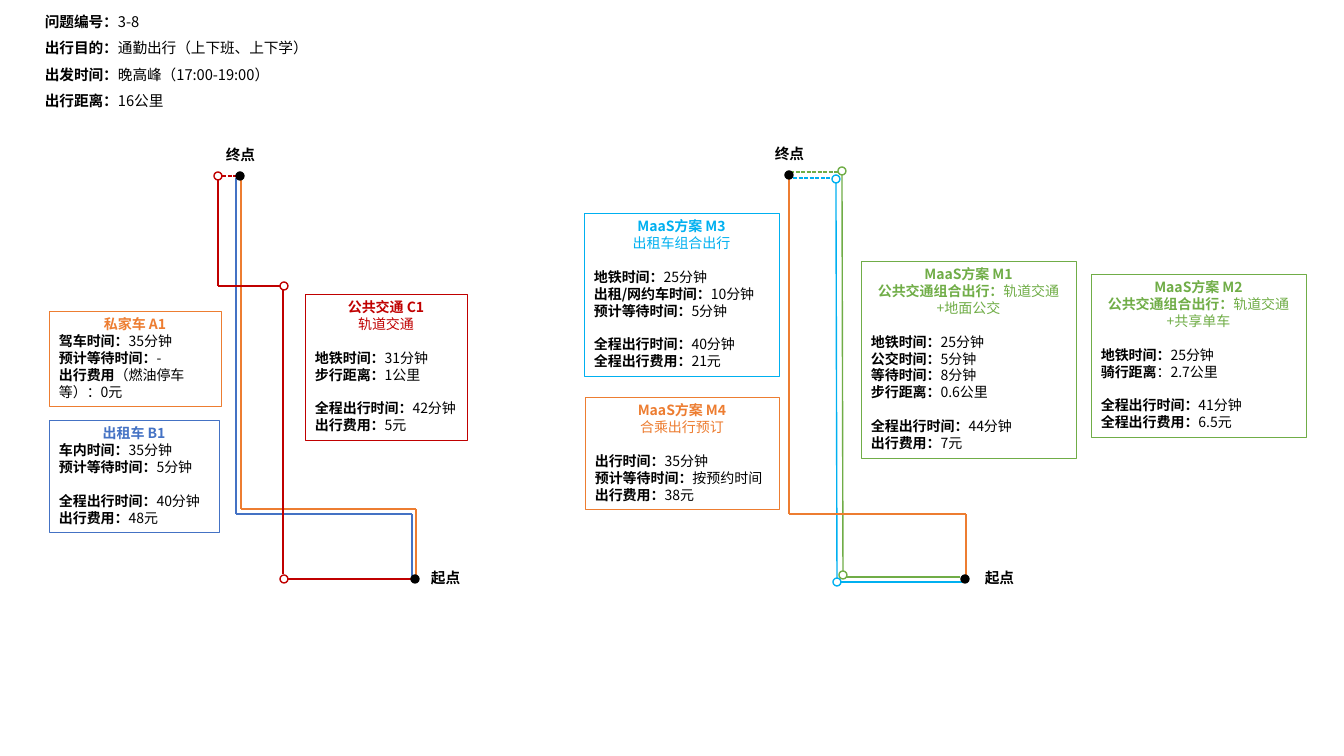
"""Build a slide comparing commuting options between a start and an end point."""
from itertools import pairwise

from lxml import etree
from pptx import Presentation
from pptx import util as u
from pptx.dml.color import RGBColor
from pptx.enum import dml, shapes, text
from pptx.oxml.ns import qn

PX = 12192000 / 1344
FONT = "Noto Sans CJK SC"
DOT = 8
GAP = 12
BLACK = RGBColor(0x00, 0x00, 0x00)
WHITE = RGBColor(0xFF, 0xFF, 0xFF)
BLUE = RGBColor(0x44, 0x72, 0xC4)
ORANGE = RGBColor(0xED, 0x7D, 0x31)
GREEN = RGBColor(0x70, 0xAD, 0x47)
CYAN = RGBColor(0x00, 0xB0, 0xF0)
RED = RGBColor(0xC0, 0x00, 0x00)

HEADER = [
    ("问题编号：", "3-8"),
    ("出行目的：", "通勤出行（上下班、上下学）"),
    ("出发时间：", "晚高峰（17:00-19:00）"),
    ("出行距离：", "16公里"),
]
HEADER_AT = (35, -1, 287, 113)

LABELS = [
    ("起点", (421, 564, 51, 29)),
    ("终点", (216, 141, 50, 28)),
    ("起点", (975, 564, 51, 29)),
    ("终点", (765, 140, 50, 28)),
]

# Each card: place, colour, title lines, then groups of (bold, plain) lines.
CARDS = [
    ((49, 420, 170, 112), BLUE, [("出租车 B1", "")], [
        [("车内时间：", "35分钟"), ("预计等待时间：", "5分钟")],
        [("全程出行时间：", "40分钟"), ("出行费用：", "48元")]]),
    ((49, 311, 172, 95), ORANGE, [("私家车 A1", "")], [
        [("驾车时间：", "35分钟"), ("预计等待时间：", "-"),
         ("出行费用", "（燃油停车等）：0元")]]),
    ((861, 261, 215, 197), GREEN,
     [("MaaS方案 M1", ""), ("公共交通组合出行：", "轨道交通+地面公交")], [
        [("地铁时间：", "25分钟"), ("公交时间：", "5分钟"),
         ("等待时间：", "8分钟"), ("步行距离：", "0.6公里")],
        [("全程出行时间：", "44分钟"), ("出行费用：", "7元")]]),
    ((585, 397, 194, 112), ORANGE, [("MaaS方案 M4", ""), ("", "合乘出行预订")], [
        [("出行时间：", "35分钟"), ("预计等待时间：", "按预约时间"),
         ("出行费用：", "38元")]]),
    ((584, 213, 195, 163), CYAN, [("MaaS方案 M3", ""), ("", "出租车组合出行")], [
        [("地铁时间：", "25分钟"), ("出租/网约车时间：", "10分钟"),
         ("预计等待时间：", "5分钟")],
        [("全程出行时间：", "40分钟"), ("全程出行费用：", "21元")]]),
    ((305, 294, 162, 146), RED, [("公共交通 C1", ""), ("", "轨道交通")], [
        [("地铁时间：", "31分钟"), ("步行距离：", "1公里")],
        [("全程出行时间：", "42分钟"), ("出行费用：", "5元")]]),
    ((1091, 274, 215, 163), GREEN,
     [("MaaS方案 M2", ""), ("公共交通组合出行：", "轨道交通+共享单车")], [
        [("地铁时间：", "25分钟"), ("骑行距离", "：2.7公里")],
        [("全程出行时间：", "41分钟"), ("全程出行费用：", "6.5元")]]),
]

WALKS = [
    (CYAN, [(793, 178), (832, 178)]),
    (GREEN, [(790, 172), (838, 172)]),
    (RED, [(222, 176), (236, 176)]),
]
ROUTES = [
    (RED, [(411, 579), (287, 579)]),
    (BLUE, [(412, 576), (412, 514), (236, 514), (236, 178)]),
    (ORANGE, [(416, 575), (416, 509), (241, 509), (241, 177)]),
    (RED, [(283, 574), (283, 290)]),
    (RED, [(280, 286), (218, 286), (218, 180)]),
    (GREEN, [(960, 577), (846, 577)]),
    (GREEN, [(843, 571), (842, 175)]),
    (CYAN, [(962, 582), (841, 582)]),
    (CYAN, [(837, 578), (836, 183)]),
    (ORANGE, [(966, 579), (966, 514), (789, 514), (789, 179)]),
]
DOTS = [
    (BLACK, BLACK, [(411, 575), (236, 172), (961, 575), (785, 171)]),
    (RED, WHITE, [(280, 575), (280, 282), (214, 172)]),
    (CYAN, None, [(833, 578), (832, 175)]),
    (GREEN, None, [(839, 571), (838, 167)]),
]


def px(*values):
    return [round(v * PX) for v in values]


def add_line(p, parts, size, color=BLACK, align=text.PP_ALIGN.LEFT):
    p.alignment = align
    p.font.size = u.Pt(size)
    p.font.color.rgb = color
    p.font.name = FONT
    etree.SubElement(p.font._element, qn("a:ea"), typeface=FONT)
    for part, bold in zip(parts, (True, False)):
        if part:
            r = p.add_run()
            r.text = part
            r.font.bold = bold


def next_paragraph(tf):
    first = tf.paragraphs[0]
    return tf.add_paragraph() if first.runs else first


def add_label(s, lines, at, spacing=None):
    tf = s.shapes.add_textbox(*px(*at)).text_frame
    tf.word_wrap = False
    tf.auto_size = text.MSO_AUTO_SIZE.SHAPE_TO_FIT_TEXT
    for parts in lines:
        p = next_paragraph(tf)
        p.line_spacing = spacing
        add_line(p, parts, 10.5)


def add_outlined(s, kind, at, color, width, fill=None):
    sp = s.shapes.add_shape(kind, *px(*at))
    sp.shadow.inherit = False
    sp.line.color.rgb = color
    sp.line.width = u.Pt(width)
    if fill is None:
        sp.fill.background()
    else:
        sp.fill.solid()
        sp.fill.fore_color.rgb = fill
    return sp


def add_card(s, at, color, titles, groups):
    tf = add_outlined(s, shapes.MSO_SHAPE.RECTANGLE, at, color, 0.5).text_frame
    tf.word_wrap = True
    tf.auto_size = text.MSO_AUTO_SIZE.SHAPE_TO_FIT_TEXT
    tf.vertical_anchor = text.MSO_ANCHOR.TOP
    for parts in titles:
        add_line(next_paragraph(tf), parts, 10, color, text.PP_ALIGN.CENTER)
    for g, group in enumerate(groups):
        for i, parts in enumerate(group):
            p = next_paragraph(tf)
            if i == 0 and (g or len(titles) > 1):
                p.space_before = u.Pt(GAP)
            add_line(p, parts, 10)


def add_route(s, color, points, dash=None):
    for start, end in pairwise(points):
        c = s.shapes.add_connector(shapes.MSO_CONNECTOR.STRAIGHT, *px(*start, *end))
        c.line.color.rgb = color
        c.line.width = u.Pt(1)
        c.line.dash_style = dash
        etree.SubElement(c._element.spPr, qn("a:effectLst"))


def main():
    prs = Presentation()
    prs.slide_width, prs.slide_height = px(1344, 756)
    s = prs.slides.add_slide(prs.slide_layouts[6])
    add_label(s, HEADER, HEADER_AT, 1.5)
    for name, at in LABELS:
        add_label(s, [(name, "")], at)
    for card in CARDS:
        add_card(s, *card)
    for walk in WALKS:
        add_route(s, *walk, dash=dml.MSO_LINE.SQUARE_DOT)
    for route in ROUTES:
        add_route(s, *route)
    for color, fill, corners in DOTS:
        for corner in corners:
            at = (*corner, DOT, DOT)
            add_outlined(s, shapes.MSO_SHAPE.OVAL, at, color, 1, fill)
    prs.save("out.pptx")


if __name__ == "__main__":
    main()
